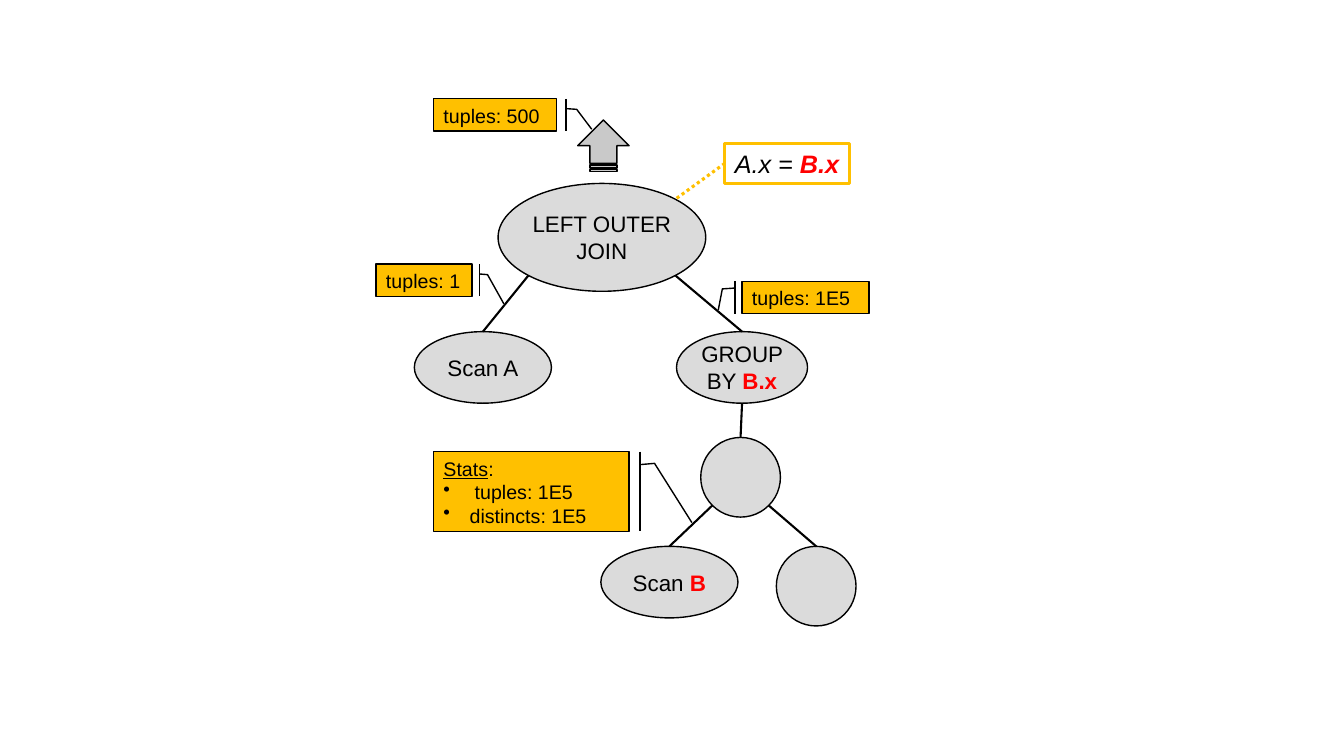
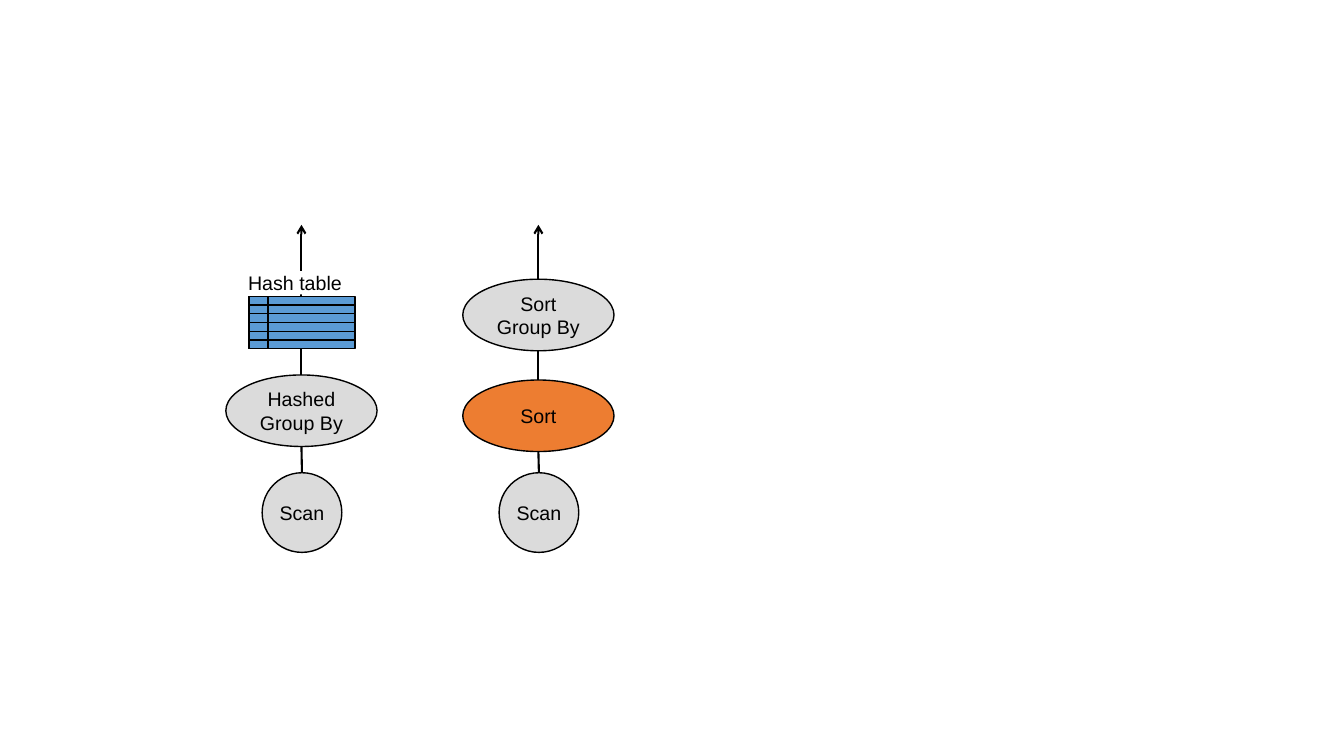
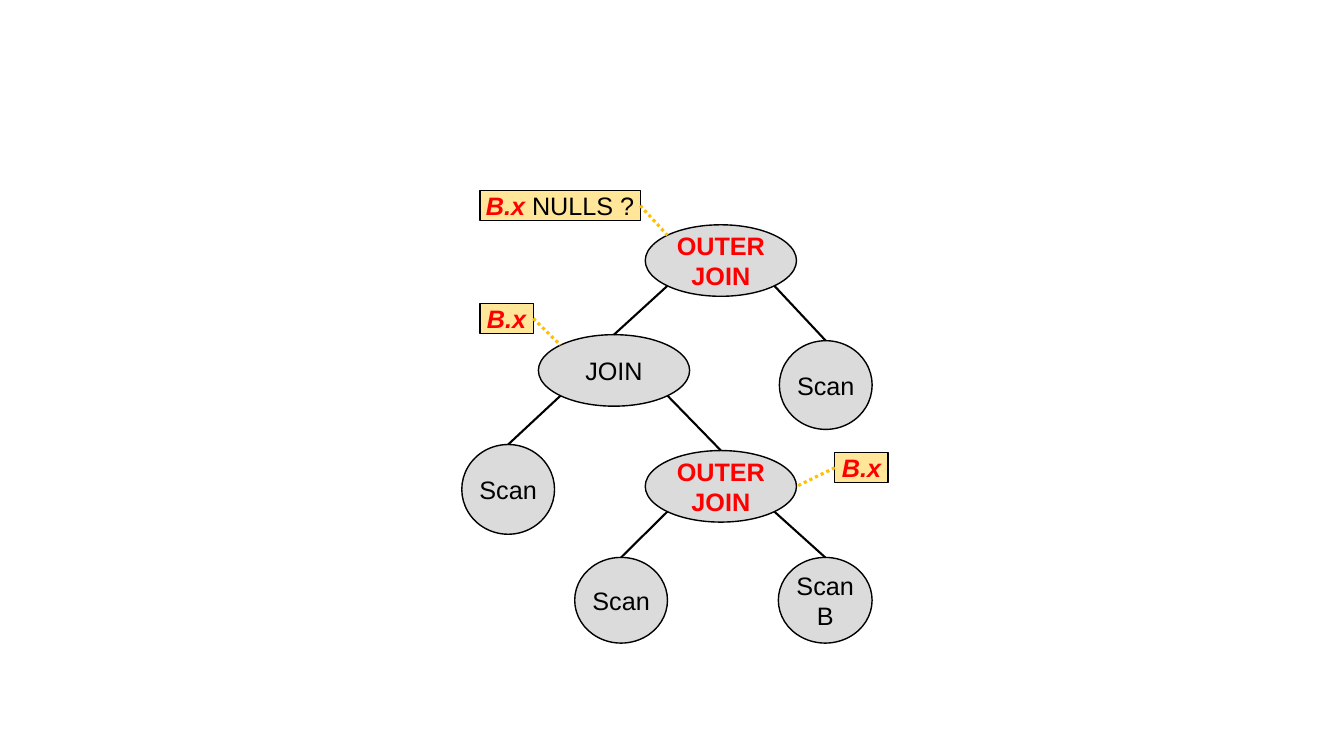
from pptx import Presentation
from pptx import util as u
from pptx.dml.color import RGBColor
from pptx.enum import dml, shapes, text
from pptx.oxml.ns import qn
from pptx.oxml.xmlchemy import OxmlElement

COLORS = {
    "black": "000000", "white": "FFFFFF", "red": "FF0000", "node": "DBDBDB",
    "arrow": "C9C9C9", "gold": "FFC000", "cream": "FFE699", "blue": "5B9BD5",
    "orange": "ED7D31",
}
FONT = "Arial"
SITES = {
    "top": (0.5, 0), "bottom": (0.5, 1), "left": (0, 0.5), "right": (1, 0.5),
    "top left": (0.146, 0.146), "top right": (0.854, 0.146),
    "bottom left": (0.146, 0.854), "bottom right": (0.854, 0.854),
}
SHAPE = shapes.MSO_SHAPE
CALLOUT = SHAPE.LINE_CALLOUT_2_BORDER_AND_ACCENT_BAR
CENTER, LEFT = text.PP_ALIGN.CENTER, text.PP_ALIGN.LEFT
MIDDLE, TOP = text.MSO_ANCHOR.MIDDLE, text.MSO_ANCHOR.TOP
RED = {"color": "red", "bold": True}
RED_ITALIC = {**RED, "italic": True}


def add_box(slide, kind, at, paragraphs=(), size=14, fill="node", line="black",
            line_width=1, padded=False, align=CENTER, anchor=MIDDLE, adjust=()):
    shape = slide.shapes.add_shape(kind, *(u.Inches(value) for value in at))
    shape.shadow.inherit = False
    for index, value in enumerate(adjust):
        shape.adjustments[index] = value
    if fill:
        shape.fill.solid()
        shape.fill.fore_color.rgb = RGBColor.from_string(COLORS[fill])
    else:
        shape.fill.background()
    if line:
        shape.line.color.rgb = RGBColor.from_string(COLORS[line])
        shape.line.width = u.Pt(line_width)
    else:
        shape.line.fill.background()
    frame = shape.text_frame
    frame.word_wrap = True
    frame.vertical_anchor = anchor
    frame.margin_left = frame.margin_right = u.Inches(0.1 if padded else 0)
    frame.margin_top = frame.margin_bottom = u.Inches(0.05 if padded else 0)
    for index, runs in enumerate(paragraphs):
        paragraph = frame.add_paragraph() if index else frame.paragraphs[0]
        paragraph.alignment = align
        paragraph.font.name = FONT
        paragraph.font.size = u.Pt(size)
        paragraph.font.color.rgb = RGBColor.from_string(COLORS["black"])
        for words, style in runs:
            run = paragraph.add_run()
            run.text = words
            font = paragraph.font if len(runs) == 1 else run.font
            for name, value in style.items():
                if name == "color":
                    font.color.rgb = RGBColor.from_string(COLORS[value])
                else:
                    setattr(font, name, value)
    return shape


def add_link(slide, start, start_site, end, end_site, lift=0, dotted=False):
    (x1, y1), (x2, y2) = (
        (int(shape.left + shape.width * SITES[site][0]),
         int(shape.top + shape.height * SITES[site][1]))
        for shape, site in ((start, start_site), (end, end_site)))
    connector = slide.shapes.add_connector(
        shapes.MSO_CONNECTOR.STRAIGHT, x1, y1, x2, y2 - u.Inches(lift))
    color = COLORS["gold" if dotted else "black"]
    connector.line.color.rgb = RGBColor.from_string(color)
    connector.line.width = u.Pt(2.25 if dotted else 1.5)
    if dotted:
        connector.line.dash_style = dml.MSO_LINE.ROUND_DOT
    properties = connector.element.spPr
    if lift:
        tail = OxmlElement("a:tailEnd")
        tail.set("type", "arrow")
        properties.find(qn("a:ln")).append(tail)
    properties.append(OxmlElement("a:effectLst"))


presentation = Presentation()
presentation.slide_width = u.Inches(13.33)
presentation.slide_height = u.Inches(7.5)
plan, grouping, nulls = (
    presentation.slides.add_slide(presentation.slide_layouts[6]) for _ in range(3))

plan_nodes = {}
for name, at, runs, padded in (
    ("scan a", (4.11, 3.29, 1.36, 0.71), [("Scan A", {})], True),
    ("join", (4.94, 1.82, 2.06, 1.07), [("LEFT OUTER JOIN", {})], False),
    ("group", (6.71, 3.29, 1.3, 0.71), [("GROUP BY ", {}), ("B.x", RED)], False),
    ("inner", (6.95, 4.34, 0.79, 0.79), [], False),
    ("leaf", (7.7, 5.42, 0.79, 0.79), [], False),
    ("scan b", (5.96, 5.42, 1.36, 0.71), [("Scan ", {}), ("B", RED)], True),
):
    plan_nodes[name] = add_box(plan, SHAPE.OVAL, at, [runs], 16, padded=padded)
for parent, site, child in (
    ("join", "bottom left", "scan a"),
    ("join", "bottom right", "group"),
    ("group", "bottom", "inner"),
    ("inner", "bottom left", "scan b"),
    ("inner", "bottom right", "leaf"),
):
    add_link(plan, plan_nodes[parent], site, plan_nodes[child], "top")

result_arrow = add_box(plan, SHAPE.STRIPED_RIGHT_ARROW, (5.73, 1.19, 0.51, 0.51),
                       fill="arrow", adjust=(0.525, 0.5))
result_arrow.rotation = 270

stats = [[("Stats", {"underline": True}), (":", {})],
         [("tuples: 1E5", {})], [("distincts: 1E5", {})]]
for at, adjust, paragraphs in (
    ((3.73, 2.62, 0.95, 0.32), (0.306, 1.077, 0.328, 1.164, 1.229, 1.334),
     [[("tuples: 1", {})]]),
    ((7.36, 2.79, 1.26, 0.32), (0.211, -0.055, 0.238, -0.155, 0.89, -0.187),
     [[("tuples: 1E5", {})]]),
    ((4.3, 0.98, 1.22, 0.32), (0.306, 1.077, 0.328, 1.164, 0.946, 1.286),
     [[("tuples: 500", {})]]),
    ((4.3, 4.48, 1.94, 0.79), (0.164, 1.055, 0.148, 1.13, 0.892, 1.321), stats),
):
    callout = add_box(plan, CALLOUT, at, paragraphs, fill="gold", padded=True,
                      align=LEFT, anchor=TOP, adjust=adjust)
    for paragraph, indent in zip(callout.text_frame.paragraphs[1:], (0.31, 0.26)):
        properties = paragraph._p.get_or_add_pPr()
        properties.set("marL", str(u.Inches(indent)))
        properties.set("indent", str(-u.Inches(indent)))
        bullet = OxmlElement("a:buChar")
        bullet.set("char", "•")
        properties.insert(0, bullet)

predicate = add_box(plan, SHAPE.RECTANGLE, (7.19, 1.42, 1.24, 0.4),
                    [[("A.x = ", {"italic": True}), ("B.x", RED_ITALIC)]], 18,
                    fill=None, line="gold", line_width=2.25, padded=True,
                    align=LEFT, anchor=TOP)
predicate.text_frame.word_wrap = False
predicate.text_frame.auto_size = text.MSO_AUTO_SIZE.SHAPE_TO_FIT_TEXT
add_link(plan, predicate, "left", plan_nodes["join"], "top right", dotted=True)

steps = {}
for name, left, top, words, fill in (
    ("hashed", 2.24, 3.72, "Hashed Group By", "node"),
    ("sorted", 4.59, 2.77, "Sort Group By", "node"),
    ("sort", 4.59, 3.77, "Sort", "orange"),
):
    steps[name] = add_box(grouping, SHAPE.OVAL, (left, top, 1.5, 0.71),
                          [[(words, {})]], fill=fill, padded=True)
for name, left in (("hash scan", 2.6), ("sort scan", 4.95)):
    steps[name] = add_box(grouping, SHAPE.OVAL, (left, 4.69, 0.79, 0.79),
                          [[("Scan", {})]])
for upper, lower in (("hashed", "hash scan"), ("sorted", "sort"), ("sort", "sort scan")):
    add_link(grouping, steps[upper], "bottom", steps[lower], "top")
for name, lift in (("hashed", 1.49), ("sorted", 0.54)):
    add_link(grouping, steps[name], "top", steps[name], "top", lift=lift)

table_top, table_height, row_count = 2.94, 0.52, 6
row_height = table_height / row_count
for row in range(row_count):
    add_box(grouping, SHAPE.RECTANGLE,
            (2.47, table_top + row * row_height, 1.05, row_height), fill="blue")
add_box(grouping, SHAPE.RECTANGLE, (2.47, table_top, 0.19, table_height), fill=None)
add_box(grouping, SHAPE.RECTANGLE, (2.46, 2.69, 1.05, 0.23), [[("Hash table", {})]],
        fill="white", line=None, align=LEFT, anchor=TOP)

null_nodes = {}
for name, at, words, style in (
    ("top join", (6.4, 2.23, 1.5, 0.71), "OUTER JOIN", RED),
    ("join", (5.34, 3.32, 1.5, 0.71), "JOIN", {}),
    ("low join", (6.4, 4.47, 1.5, 0.71), "OUTER JOIN", RED),
    ("right scan", (7.73, 3.38, 0.92, 0.88), "Scan", {}),
    ("left scan", (4.58, 4.41, 0.92, 0.89), "Scan", {}),
    ("low scan", (5.7, 5.53, 0.92, 0.85), "Scan", {}),
    ("scan b", (7.72, 5.53, 0.93, 0.85), "Scan B", {}),
):
    null_nodes[name] = add_box(nulls, SHAPE.OVAL, at, [[(words, style)]], 18)
for parent, left_child, right_child in (
    ("top join", "join", "right scan"),
    ("join", "left scan", "low join"),
    ("low join", "low scan", "scan b"),
):
    for side, child in (("left", left_child), ("right", right_child)):
        add_link(nulls, null_nodes[parent], f"bottom {side}", null_nodes[child], "top")

for left, top, width, extra, tag_site, name, node_site in (
    (8.28, 4.49, 0.53, [], "left", "low join", "right"),
    (4.76, 3.01, 0.53, [], "right", "join", "top left"),
    (4.76, 1.89, 1.59, [(" NULLS ?", {})], "right", "top join", "top left"),
):
    tag = add_box(nulls, SHAPE.RECTANGLE, (left, top, width, 0.3),
                  [[("B.x", RED_ITALIC), *extra]], 18, fill="cream")
    add_link(nulls, tag, tag_site, null_nodes[name], node_site, dotted=True)

presentation.save("out.pptx")
